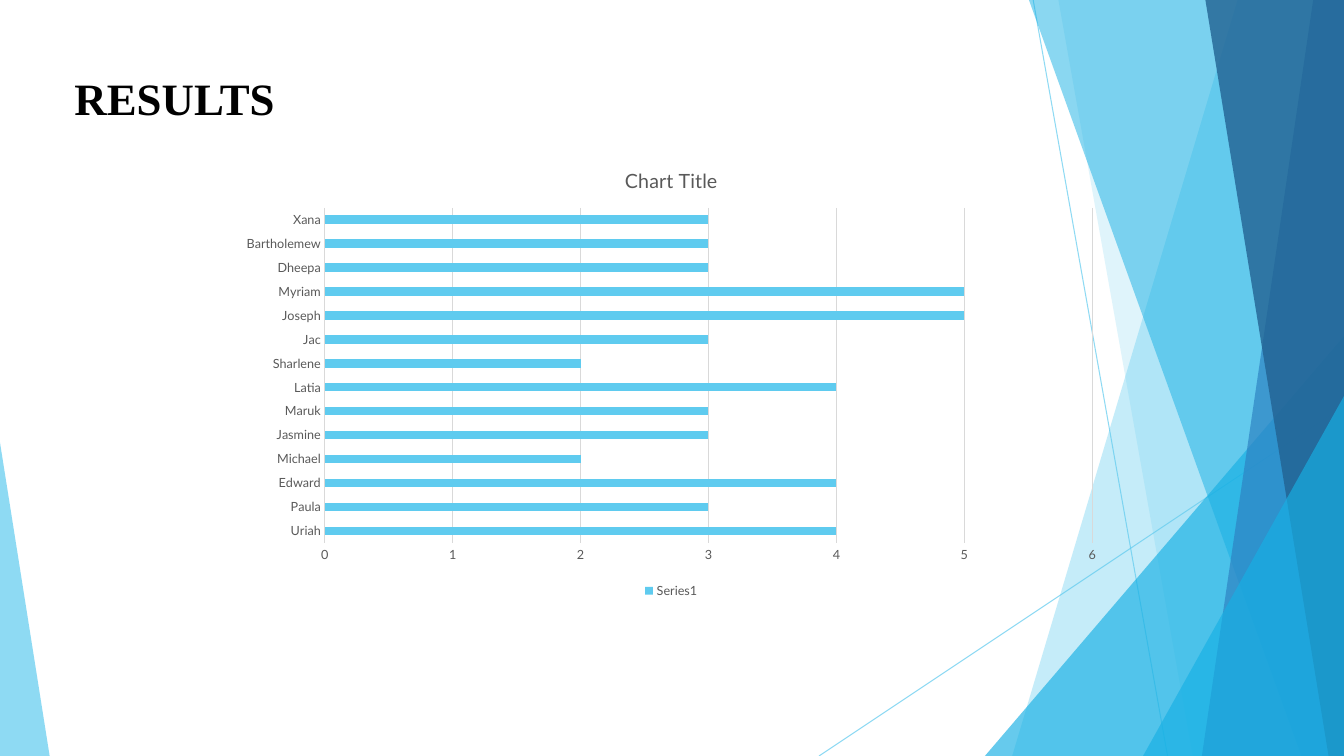
from lxml import etree
from pptx import Presentation
from pptx.chart.data import CategoryChartData
from pptx.dml.color import RGBColor
from pptx.enum import chart as ch, shapes as sh, text as tx
from pptx.oxml.ns import qn
from pptx.util import Pt

SKY = RGBColor(0x5F, 0xCB, 0xEF)
CYAN = RGBColor(0x17, 0xB0, 0xE4)
BLUE = RGBColor(0x2E, 0x83, 0xC3)
NAVY = RGBColor(0x22, 0x62, 0x92)
GRAY = RGBColor(0x59, 0x59, 0x59)
PALE = RGBColor(0xD9, 0xD9, 0xD9)
BLACK = RGBColor(0, 0, 0)
WIDE, HIGH = 960, 540

SCORES = {
    "Uriah": 4, "Paula": 3, "Edward": 4, "Michael": 2, "Jasmine": 3,
    "Maruk": 3, "Latia": 4, "Sharlene": 2, "Jac": 3, "Joseph": 5,
    "Myriam": 5, "Dheepa": 3, "Bartholemew": 3, "Xana": 3,
}


def fade(fill, color, alpha):
    """Set a solid fill with its opacity in percent."""
    fill.solid()
    fill.fore_color.rgb = color
    node = fill.fore_color._xFill.find(qn("a:srgbClr"))
    etree.SubElement(node, qn("a:alpha"), val=str(alpha * 1000))


def paint(shape, color, alpha):
    shape.shadow.inherit = False
    shape.line.fill.background()
    fade(shape.fill, color, alpha)


def add_ray(slide, start, end):
    ray = slide.shapes.add_connector(
        sh.MSO_CONNECTOR.STRAIGHT, *map(Pt, start + end))
    ray.line.width = Pt(0.75)
    fade(ray.line.fill, SKY, 70)
    etree.SubElement(ray._element.spPr, qn("a:effectLst"))


def add_facet(slide, top, foot, color, alpha):
    """Fill from a slanted edge to the right side of the slide."""
    pen = slide.shapes.build_freeform(Pt(top), 0)
    pen.add_line_segments([(Pt(WIDE), 0), (Pt(WIDE), Pt(HIGH)),
                           (Pt(foot), Pt(HIGH))])
    paint(pen.convert_to_shape(), color, alpha)


def add_wedge(slide, left, top, width, apex, color, alpha):
    """Stand a triangle on the bottom edge; apex 0 is left, 1 is right."""
    wedge = slide.shapes.add_shape(
        sh.MSO_SHAPE.ISOSCELES_TRIANGLE,
        *map(Pt, (left, top, width, HIGH - top)))
    wedge.adjustments[0] = apex
    paint(wedge, color, alpha)


def add_decor(slide):
    add_ray(slide, (738, 0), (834, HIGH))
    add_ray(slide, (WIDE, 290), (585, HIGH))
    add_facet(slide, 884, 723, SKY, 36)
    add_facet(slide, 756, 852, SKY, 20)
    add_wedge(slide, 703.5, 240, 256.5, 1, CYAN, 66)
    add_facet(slide, 735, 929.5, CYAN, 50)
    add_facet(slide, 938, 858.5, BLUE, 70)
    add_facet(slide, 861, 949, NAVY, 80)
    add_wedge(slide, 816.5, 283, 143.5, 1, CYAN, 66)
    add_wedge(slide, 0, 316, 35.5, 0, SKY, 70)


def add_title(slide, box):
    title = slide.shapes.title
    title.left, title.top, title.width, title.height = map(Pt, box)
    frame = title.text_frame
    frame.word_wrap = True
    frame.auto_size = tx.MSO_AUTO_SIZE.NONE
    frame.vertical_anchor = tx.MSO_ANCHOR.TOP
    para = frame.paragraphs[0]
    para.alignment = tx.PP_ALIGN.LEFT
    run = para.add_run()
    run.text = "RESULTS"
    style(run.font, 32, BLACK, "Times New Roman", True)


def style(font, size, color=GRAY, name="Lato", bold=False):
    font.size, font.name, font.bold = Pt(size), name, bold
    font.color.rgb = color


def add_bars(slide, box):
    data = CategoryChartData()
    data.categories = list(SCORES)
    data.add_series("Series1", list(SCORES.values()))
    chart = slide.shapes.add_chart(
        ch.XL_CHART_TYPE.BAR_CLUSTERED, *map(Pt, box), data).chart
    style(chart.font, 10, BLACK)

    chart.has_title = True
    run = chart.chart_title.text_frame.paragraphs[0].add_run()
    run.text = "Chart Title"
    style(run.font, 14)
    chart.chart_title.include_in_layout = False

    chart.has_legend = True
    chart.legend.position = ch.XL_LEGEND_POSITION.BOTTOM
    chart.legend.include_in_layout = False
    style(chart.legend.font, 9)

    plot = chart.plots[0]
    plot.gap_width = 182
    plot.vary_by_categories = False
    fill = plot.series[0].format.fill
    fill.solid()
    fill.fore_color.rgb = SKY

    names, marks = chart.category_axis, chart.value_axis
    for axis in (names, marks):
        axis.major_tick_mark = axis.minor_tick_mark = ch.XL_TICK_MARK.NONE
        style(axis.tick_labels.font, 9)
    marks.minimum_scale, marks.maximum_scale, marks.major_unit = 0, 6, 1
    marks.format.line.fill.background()
    marks.has_major_gridlines = True
    for line in (names.format.line, marks.major_gridlines.format.line):
        line.width = Pt(0.75)
        line.color.rgb = PALE


def main():
    deck = Presentation()
    deck.slide_width, deck.slide_height = Pt(WIDE), Pt(HIGH)
    slide = deck.slides.add_slide(deck.slide_layouts[5])
    add_decor(slide)
    add_title(slide, (46, 47, 546.5, 46))
    add_bars(slide, (163.5, 106, 632, 324.5))
    deck.save("out.pptx")


if __name__ == "__main__":
    main()
